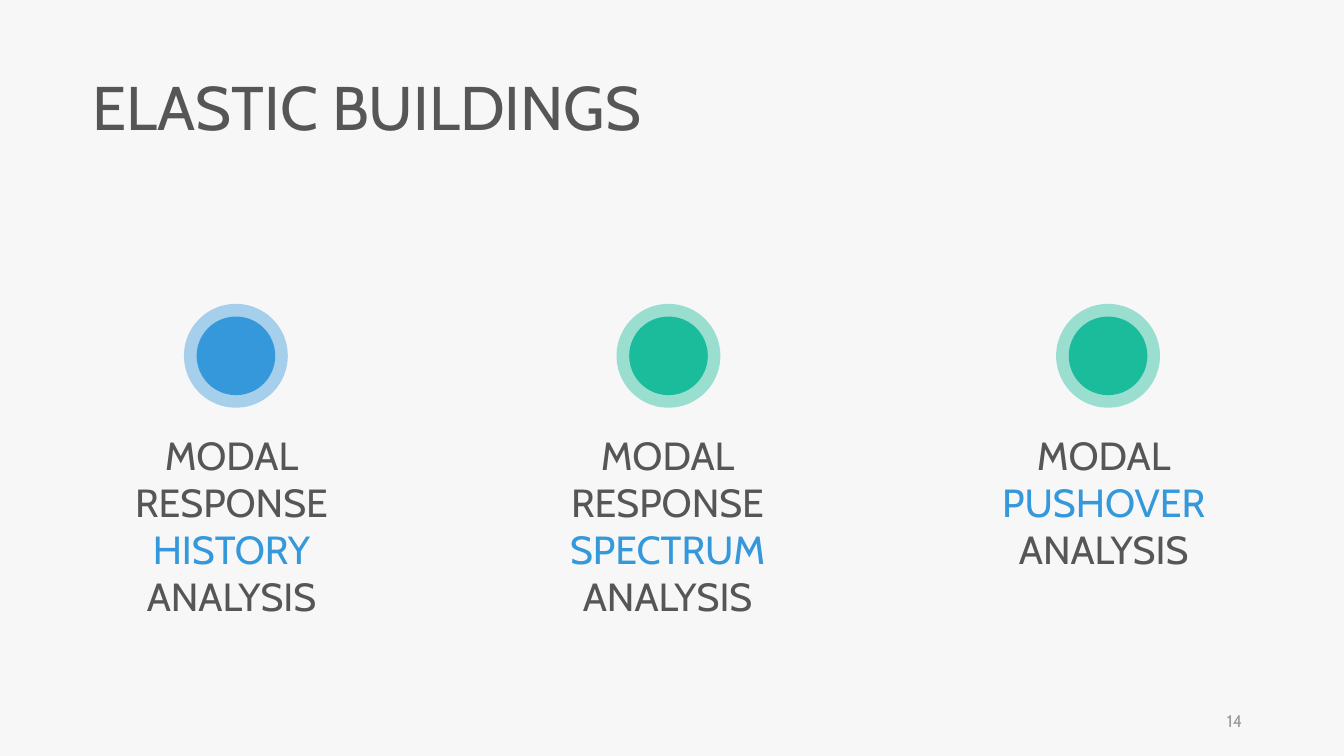
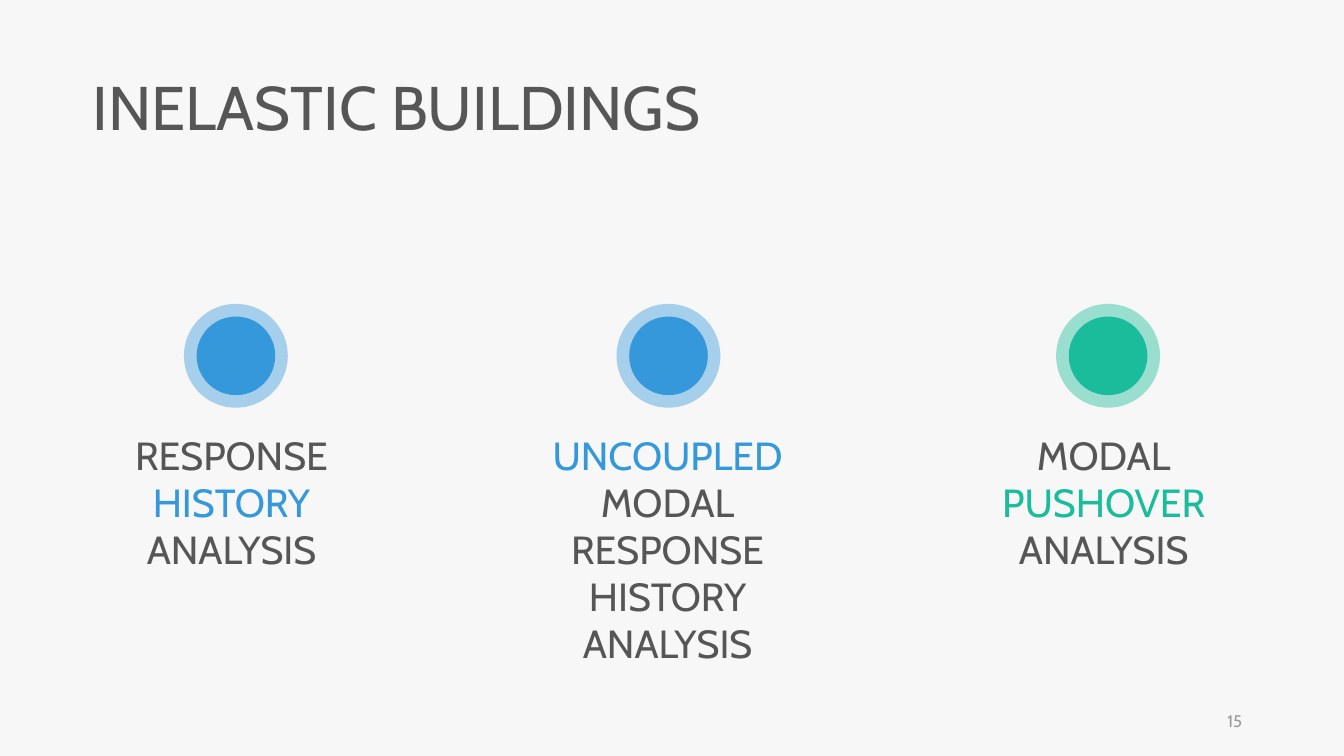
from pptx import Presentation
from pptx.dml.color import RGBColor
from pptx.enum.shapes import MSO_SHAPE
from pptx.enum.text import MSO_ANCHOR, MSO_AUTO_SIZE, PP_ALIGN
from pptx.oxml.ns import qn
from pptx.util import Inches, Pt
from lxml import etree

PAPER = RGBColor(0xF7, 0xF7, 0xF7)
INK = RGBColor(0x56, 0x56, 0x56)
GRAY = RGBColor(0x9A, 0x9A, 0x9A)
BLUE = RGBColor(0x34, 0x98, 0xDB)
GREEN = RGBColor(0x1A, 0xBC, 0x9C)

OVAL = MSO_SHAPE.OVAL
MIDDLE = MSO_ANCHOR.MIDDLE
FIT = MSO_AUTO_SIZE.SHAPE_TO_FIT_TEXT
LEFT, CENTER, RIGHT = PP_ALIGN.LEFT, PP_ALIGN.CENTER, PP_ALIGN.RIGHT

FONT = "Cabin"
MARGIN = 0.92
COL_W = 2.85
COL_STEP = 4.325
LINE_H = 0.47
DOT_X = (2.34, 6.63, 10.99)
DOT_Y = 3.53
RING, DISC = 1.03, 0.78

# Each column: dot colour, text runs with their colours
SLIDES = [
    (14, "ELASTIC BUILDINGS", 5.69, [
        (BLUE, [("MODAL RESPONSE ", INK), ("HISTORY", BLUE), (" ANALYSIS", INK)]),
        (GREEN, [("MODAL RESPONSE ", INK), ("SPECTRUM", BLUE), (" ANALYSIS", INK)]),
        (GREEN, [("MODAL ", INK), ("PUSHOVER ", BLUE), ("ANALYSIS", INK)]),
    ]),
    (15, "INELASTIC BUILDINGS", 7.48, [
        (BLUE, [("RESPONSE ", INK), ("HISTORY", BLUE), (" ANALYSIS", INK)]),
        (BLUE, [("UNCOUPLED", BLUE), (" MODAL RESPONSE HISTORY ANALYSIS", INK)]),
        (GREEN, [("MODAL ", INK), ("PUSHOVER ", GREEN), ("ANALYSIS", INK)]),
    ]),
]


def add_text(slide, box, runs, size, align):
    """Add one paragraph of (text, colour) runs and return its text frame."""
    frame = slide.shapes.add_textbox(*map(Inches, box)).text_frame
    frame.word_wrap = True
    para = frame.paragraphs[0]
    para.alignment = align
    for text, color in runs:
        run = para.add_run()
        run.text = text
        run.font.name = FONT
        run.font.size = Pt(size)
        run.font.color.rgb = color
    return frame


def fit_flush(frame):
    """Fit the box to its text, with no left inset."""
    frame.auto_size = FIT
    frame.margin_left = 0


def add_oval(group, x, y, size, color, alpha=None):
    """Add a circle centred on x, y, with alpha as a percentage."""
    oval = group.shapes.add_shape(
        OVAL, Inches(x - size / 2), Inches(y - size / 2), Inches(size), Inches(size))
    oval.shadow.inherit = False
    oval.line.fill.background()
    oval.fill.solid()
    oval.fill.fore_color.rgb = color
    if alpha is not None:
        tint = oval.fill._xPr.find(qn("a:solidFill"))[0]
        etree.SubElement(tint, qn("a:alpha")).set("val", str(alpha * 1000))


def add_dot(slide, x, color):
    group = slide.shapes.add_group_shape()
    add_oval(group, x, DOT_Y, RING, color, 42)
    add_oval(group, x, DOT_Y, DISC, color)


def add_title(slide, text, width):
    frame = add_text(slide, (MARGIN, 0.72, width, 0.77), [(text, INK)], 44, LEFT)
    fit_flush(frame)
    frame.paragraphs[0].line_spacing = 0.9


def add_label(slide, x, runs):
    """Add a column label, which wraps to one word a line."""
    words = "".join(text for text, _ in runs).split()
    box = (x, 4.23, COL_W, 0.1 + LINE_H * len(words))
    fit_flush(add_text(slide, box, runs, 28, CENTER))


def add_number(slide, number):
    frame = add_text(slide, (9.42, 6.95, 3, 0.4), [(str(number), GRAY)], 12, RIGHT)
    frame.vertical_anchor = MIDDLE


def main():
    prs = Presentation()
    prs.slide_width, prs.slide_height = Inches(13.33), Inches(7.5)
    paper = prs.slide_master.background.fill
    paper.solid()
    paper.fore_color.rgb = PAPER
    for number, title, width, columns in SLIDES:
        slide = prs.slides.add_slide(prs.slide_layouts[6])
        add_title(slide, title, width)
        for i, (color, runs) in enumerate(columns):
            add_dot(slide, DOT_X[i], color)
            add_label(slide, MARGIN + i * COL_STEP, runs)
        add_number(slide, number)
    prs.save("out.pptx")


if __name__ == "__main__":
    main()
